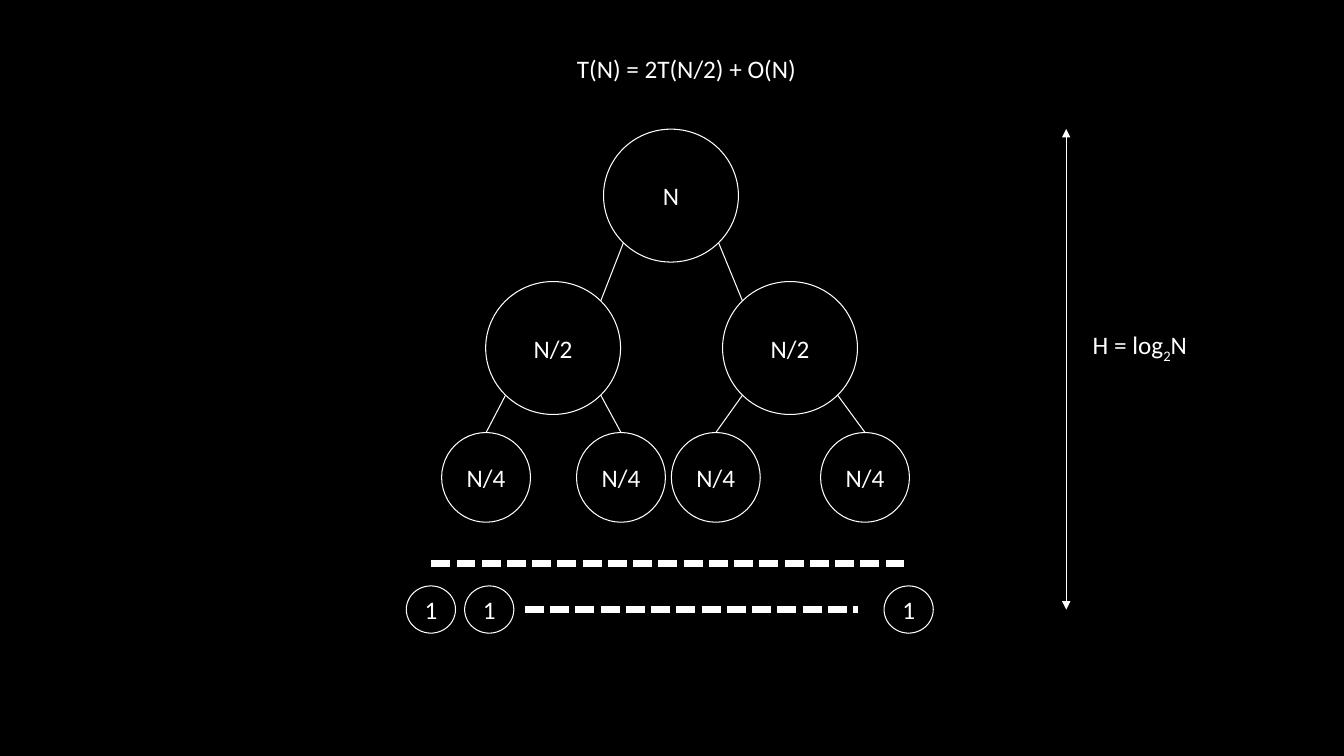
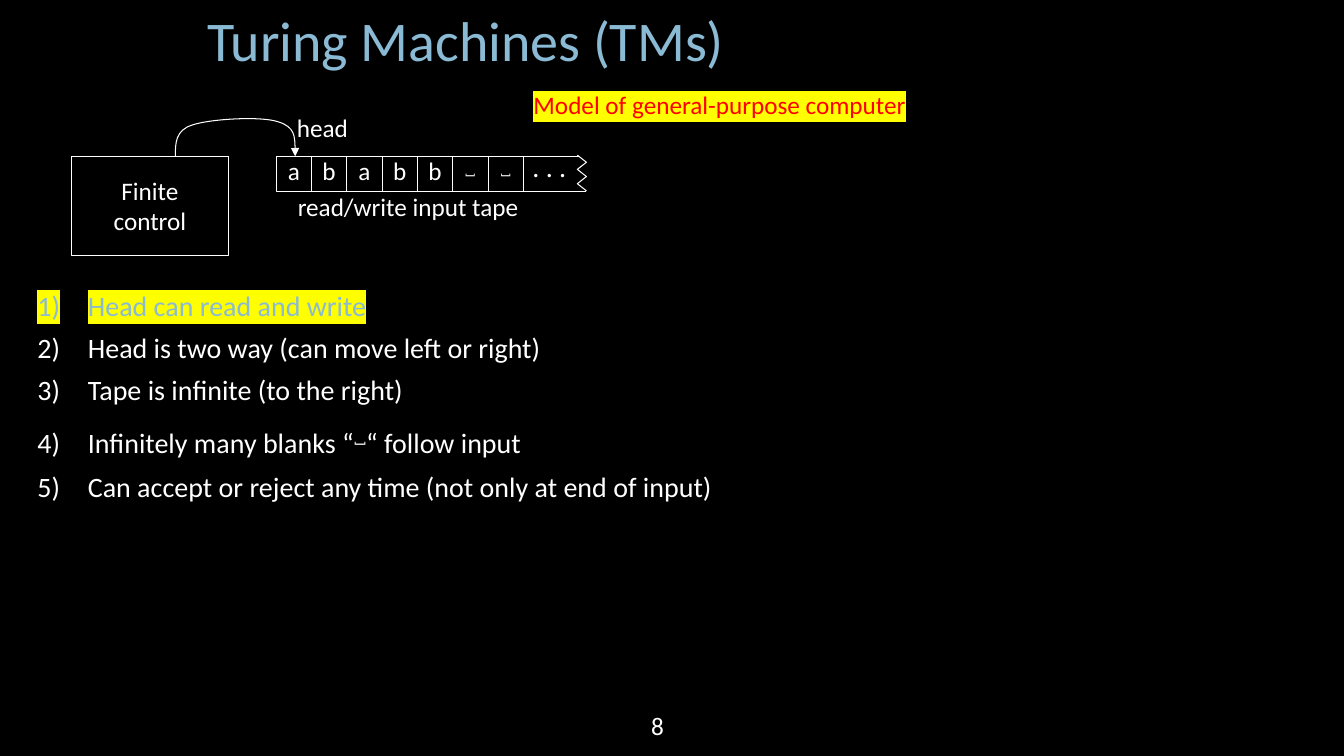
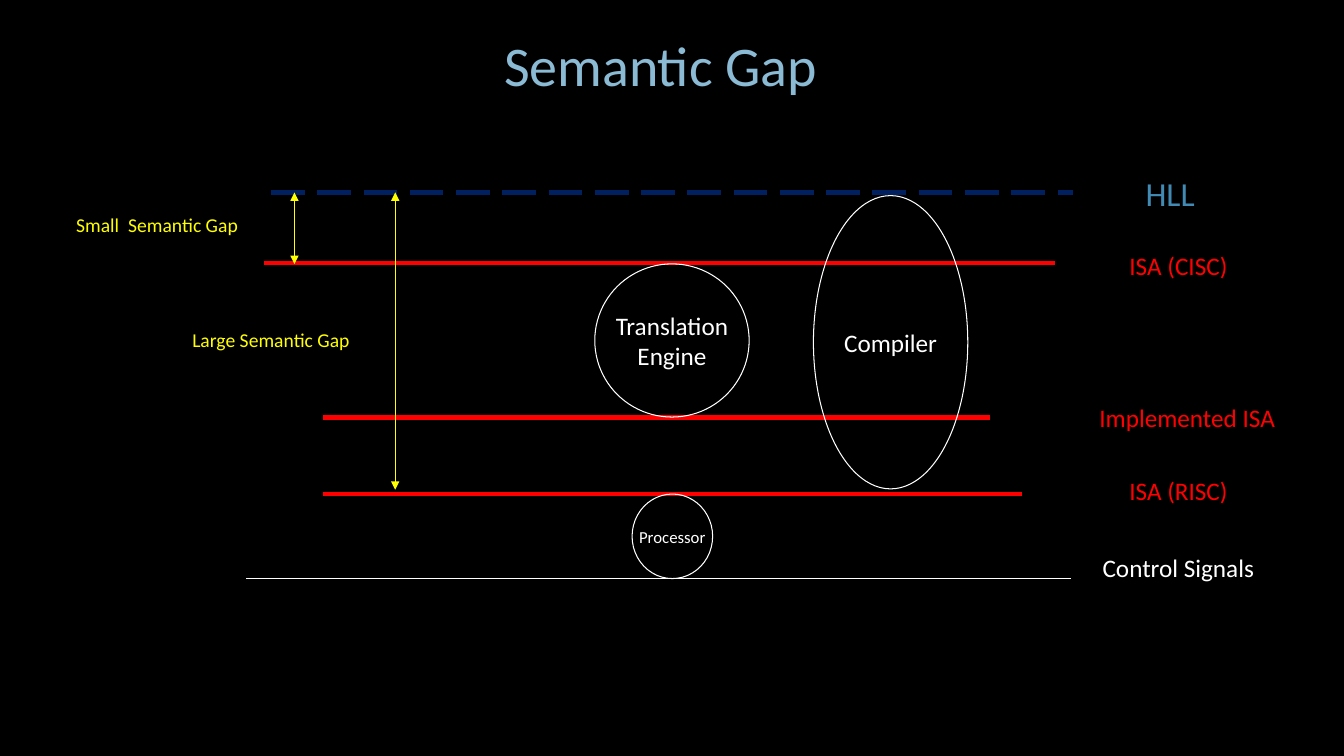
"""Build three lecture slides: recursion tree, Turing machine and semantic gap."""
from lxml import etree
from pptx import Presentation
from pptx.dml.color import RGBColor
from pptx.enum.dml import MSO_LINE
from pptx.enum.shapes import MSO_CONNECTOR, MSO_SHAPE
from pptx.enum.text import MSO_ANCHOR, MSO_AUTO_SIZE, PP_ALIGN
from pptx.oxml.ns import qn
from pptx.util import Cm, Pt

BLACK = RGBColor(0x00, 0x00, 0x00)
WHITE = RGBColor(0xFF, 0xFF, 0xFF)
RED = RGBColor(0xFF, 0x00, 0x00)
YELLOW = RGBColor(0xFF, 0xFF, 0x00)
NAVY = RGBColor(0x00, 0x20, 0x60)
BLUE = RGBColor(0x41, 0x8A, 0xB3)
SKY = RGBColor(0x8A, 0xBA, 0xD4)
FONT = "Calibri"
THIN = 0.75
STRAIGHT = MSO_CONNECTOR.STRAIGHT
ELLIPSE, RECTANGLE = MSO_SHAPE.OVAL, MSO_SHAPE.RECTANGLE
DOTS, DASHES = MSO_LINE.SQUARE_DOT, MSO_LINE.LONG_DASH
CENTER, LEFT = PP_ALIGN.CENTER, PP_ALIGN.LEFT
MIDDLE, TOP = MSO_ANCHOR.MIDDLE, MSO_ANCHOR.TOP
NO_AUTOFIT = MSO_AUTO_SIZE.NONE


def add_label(slide, text, box, size=18, color=WHITE, outline=None):
    """Add centred text, inside an outlined shape if one is named."""
    place = [Cm(length) for length in box]
    if outline is None:
        label = slide.shapes.add_textbox(*place)
    else:
        label = slide.shapes.add_shape(outline, *place)
        label.shadow.inherit = False
        label.fill.background()
        label.line.color.rgb = WHITE
        label.line.width = Pt(THIN)
    frame = label.text_frame
    frame.text = text
    frame.word_wrap = False
    frame.vertical_anchor = MIDDLE
    frame.margin_top = frame.margin_bottom = 0
    for paragraph in frame.paragraphs:
        paragraph.alignment = CENTER
        for run in paragraph.runs:
            run.font.name = FONT
            run.font.size = Pt(size)
            run.font.color.rgb = color
    return label


def add_rule(slide, start, end, color=WHITE, width=THIN, dash=None, arrows=False):
    """Add a straight line, with arrowheads at both ends on request."""
    rule = slide.shapes.add_connector(STRAIGHT, *[Cm(length) for length in (*start, *end)])
    rule.line.color.rgb = color
    rule.line.width = Pt(width)
    if dash is not None:
        rule.line.dash_style = dash
    if arrows:
        for tip in ("a:headEnd", "a:tailEnd"):
            etree.SubElement(rule.line._get_or_add_ln(), qn(tip), type="triangle")
    etree.SubElement(rule._element.spPr, qn("a:effectLst"))


prs = Presentation()
prs.slide_width, prs.slide_height = Cm(33.87), Cm(19.05)
backdrop = prs.slide_master.background.fill
backdrop.solid()
backdrop.fore_color.rgb = BLACK

HEADINGS = [
    (5, "T(N) = 2T(N/2) + O(N)", (14, 1.22, 6.6, 1.02), 18, WHITE),
    (1, "Turing Machines (TMs)", (0, 0, 23.47, 1.96), 40, SKY),
    (5, "Semantic Gap", (3.35, 0.63, 26.59, 1.96), 40, SKY),
]
for layout, heading, box, size, color in HEADINGS:
    title = prs.slides.add_slide(prs.slide_layouts[layout]).shapes.title
    title.left, title.top, title.width, title.height = [Cm(length) for length in box]
    title.text_frame.text = heading
    title.text_frame.auto_size = NO_AUTOFIT
    title.text_frame.vertical_anchor = MIDDLE
    title.text_frame.paragraphs[0].alignment = CENTER
    title_font = title.text_frame.paragraphs[0].runs[0].font
    title_font.name, title_font.size, title_font.color.rgb = FONT, Pt(size), color
recursion, turing, semantic = prs.slides

# Recursion tree
ROOT_X = 16.91
HALF_X = (13.94, 19.91)
QUARTER_X = (12.25, 15.65, 18.04, 21.8)
ROOT_Y, HALF_Y, QUARTER_Y, LEAF_Y = 4.93, 8.77, 12.03, 15.36
DIAGONAL_X, DIAGONAL_Y = 1.2, 1.19
LEVELS = [
    ("N", (ROOT_X,), ROOT_Y, 3.4, 3.35),
    ("N/2", HALF_X, HALF_Y, 3.4, 3.35),
    ("N/4", QUARTER_X, QUARTER_Y, 2.24, 2.26),
    ("1", (10.86, 12.33, 22.9), LEAF_Y, 1.24, 1.19),
]
for problem_size, centres, y, width, height in LEVELS:
    for x in centres:
        add_label(recursion, problem_size, (x - width / 2, y - height / 2, width, height),
                  outline=ELLIPSE)
for x, side in zip(HALF_X, (-1, 1)):
    add_rule(recursion, (ROOT_X + side * DIAGONAL_X, ROOT_Y + DIAGONAL_Y),
             (x - side * DIAGONAL_X, HALF_Y - DIAGONAL_Y))
for index, x in enumerate(QUARTER_X):
    side = 1 if index % 2 else -1
    add_rule(recursion, (HALF_X[index // 2] + side * DIAGONAL_X, HALF_Y + DIAGONAL_Y),
             (x, QUARTER_Y - 1.13))
add_rule(recursion, (10.87, 14.2), (22.91, 14.2), width=4.5, dash=DOTS)
add_rule(recursion, (13.23, LEAF_Y), (21.62, LEAF_Y), width=4.5, dash=DOTS)
add_rule(recursion, (26.87, 3.25), (26.87, LEAF_Y), arrows=True)
tree_height = add_label(recursion, "H = log", (27.25, 8.23, 2.95, 1.02))
for piece, baseline in (("2", -25000), ("N", 0)):
    run = tree_height.text_frame.paragraphs[0].add_run()
    run.text = piece
    run.font.name, run.font.size, run.font.color.rgb = FONT, Pt(18), WHITE
    run._r.get_or_add_rPr().set("baseline", str(baseline))

# Turing machine
BLANK = "\u02fd"
PROPERTIES = [
    ["Head can read and write"],
    ["Head is two way (can move left or right)"],
    ["Tape is infinite (to the right)"],
    ["Infinitely many blanks \u201c", BLANK, "\u201c follow input"],
    ["Can accept or reject any time (not only at end of input)"],
]
properties = turing.placeholders[1]
properties.left, properties.top = Cm(0.69), Cm(7.14)
properties.width, properties.height = Cm(19.13), Cm(5.56)
frame = properties.text_frame
frame.auto_size = NO_AUTOFIT
frame.vertical_anchor = TOP
for index, pieces in enumerate(PROPERTIES):
    paragraph = frame.add_paragraph() if index else frame.paragraphs[0]
    paragraph.alignment = LEFT
    paragraph.space_before = Pt(6)
    numbering = paragraph._p.get_or_add_pPr()
    numbering.set("marL", str(Cm(1.27)))
    numbering.set("indent", str(-Cm(1.27)))
    etree.SubElement(numbering, qn("a:buFont"), typeface="+mj-lt")
    etree.SubElement(numbering, qn("a:buAutoNum"), type="arabicParenR")
    for piece in pieces:
        run = paragraph.add_run()
        run.text = piece
        run.font.name = FONT
        run.font.size = Pt(28 if piece == BLANK else 20)
        run.font.color.rgb = WHITE if index else SKY
        if piece == BLANK:
            run._r.get_or_add_rPr().set("baseline", "30000")

add_label(turing, "Finite\vcontrol", (1.8, 3.94, 3.96, 2.49), outline=RECTANGLE)

TAPE_LEFT, TAPE_TOP, TAPE_BOTTOM, CELL = 6.96, 3.94, 4.83, 0.89
for index, symbol in enumerate(["a", "b", "a", "b", "b", BLANK, BLANK]):
    cell_left = TAPE_LEFT + index * CELL
    divider = cell_left + CELL
    add_rule(turing, (divider, TAPE_TOP), (divider, TAPE_BOTTOM))
    cell = add_label(turing, symbol, (cell_left, 3.78, CELL, 1.02),
                     size=24 if symbol == BLANK else 18)
    if symbol == BLANK:
        cell.text_frame.paragraphs[0].runs[0]._r.get_or_add_rPr().set("baseline", "30000")
add_label(turing, ". . .", (13.16, 3.63, 1.37, 1.12), size=20)

tape_edge = [(14.78, TAPE_BOTTOM), (TAPE_LEFT, TAPE_BOTTOM), (TAPE_LEFT, TAPE_TOP),
             (14.58, TAPE_TOP)]
torn_end = [(14.55 if step % 2 else 14.78, 4.81 - 0.18 * step) for step in range(6)]
head_curve = [(4.42, 3.94), (4.42, 3.61), (4.42, 3.28), (4.85, 3.15), (5.28, 3),
              (6.58, 2.92), (7.01, 3.07), (7.44, 3.2), (7.44, 3.56), (7.44, 3.94)]
for points in (tape_edge, torn_end, head_curve):
    start, *rest = [(Cm(x), Cm(y)) for x, y in points]
    builder = turing.shapes.build_freeform(*start, scale=1.0)
    builder.add_line_segments(rest, close=False)
    stroke = builder.convert_to_shape()
    stroke.shadow.inherit = False
    stroke.fill.background()
    stroke.line.color.rgb = WHITE
    stroke.line.width = Pt(THIN)
head_arrow = stroke
etree.SubElement(head_arrow.line._get_or_add_ln(), qn("a:tailEnd"), type="triangle")
route = head_arrow._element.find(".//" + qn("a:path"))
segments = route.findall(qn("a:lnTo"))
for first in range(0, len(segments), 3):
    bend = etree.SubElement(route, qn("a:cubicBezTo"))
    for segment in segments[first:first + 3]:
        bend.append(segment[0])
        route.remove(segment)

add_label(turing, "read/write input tape", (7.21, 4.7, 6.15, 1.02))
add_label(turing, "head", (7.21, 2.69, 1.83, 1.02))
add_label(turing, "8", (16.15, 17.78, 0.84, 1.02))
purpose = add_label(turing, "Model of general-purpose computer", (13.13, 2.13, 10.01, 1.02),
                    color=RED)
for marked in (properties, purpose):
    run = marked.text_frame.paragraphs[0].runs[0]
    highlight = etree.Element(qn("a:highlight"))
    etree.SubElement(highlight, qn("a:srgbClr"), val=str(YELLOW))
    run._r.get_or_add_rPr().find(qn("a:latin")).addprevious(highlight)

# Semantic gap
INTERFACES = [
    ("HLL", 4.85, 6.83, 27.03, NAVY, 3, DASHES, (28.4, 4.22, 2.18, 1.27), 24, BLUE),
    ("ISA (CISC)", 6.63, 6.65, 26.59, RED, 3, None, (28.19, 6.17, 3.02, 1.02), 18, RED),
    ("Implemented ISA", 10.52, 8.13, 24.94, RED, 3, None, (27.43, 10.01, 4.98, 1.02), 18, RED),
    ("ISA (RISC)", 12.45, 8.13, 25.76, RED, 3, None, (28.19, 11.84, 3.02, 1.02), 18, RED),
    ("Control Signals", 14.58, 6.2, 27, WHITE, THIN, None, (27.51, 13.79, 4.37, 1.02), 18, WHITE),
]
for name, y, left, right, color, width, dash, box, size, text_color in INTERFACES:
    add_rule(semantic, (left, y), (right, y), color, width, dash)
    add_label(semantic, name, box, size, text_color)

GAPS = [
    ("Small  Semantic Gap", 7.42, 6.65, (1.65, 5.23, 4.62, 0.86)),
    ("Large Semantic Gap", 9.96, 12.34, (4.57, 8.13, 4.52, 0.86)),
]
for name, x, bottom, box in GAPS:
    add_rule(semantic, (x, 4.85), (x, bottom), YELLOW, arrows=True)
    add_label(semantic, name, box, 14, YELLOW)

TRANSLATORS = [
    ("Translation\nEngine", (14.99, 6.65, 3.89, 3.86), 18),
    ("Processor", (15.93, 12.45, 2.03, 2.13), 12),
    ("Compiler", (20.5, 4.93, 3.89, 7.39), 18),
]
for name, box, size in TRANSLATORS:
    add_label(semantic, name, box, size, outline=ELLIPSE)

prs.save("out.pptx")
